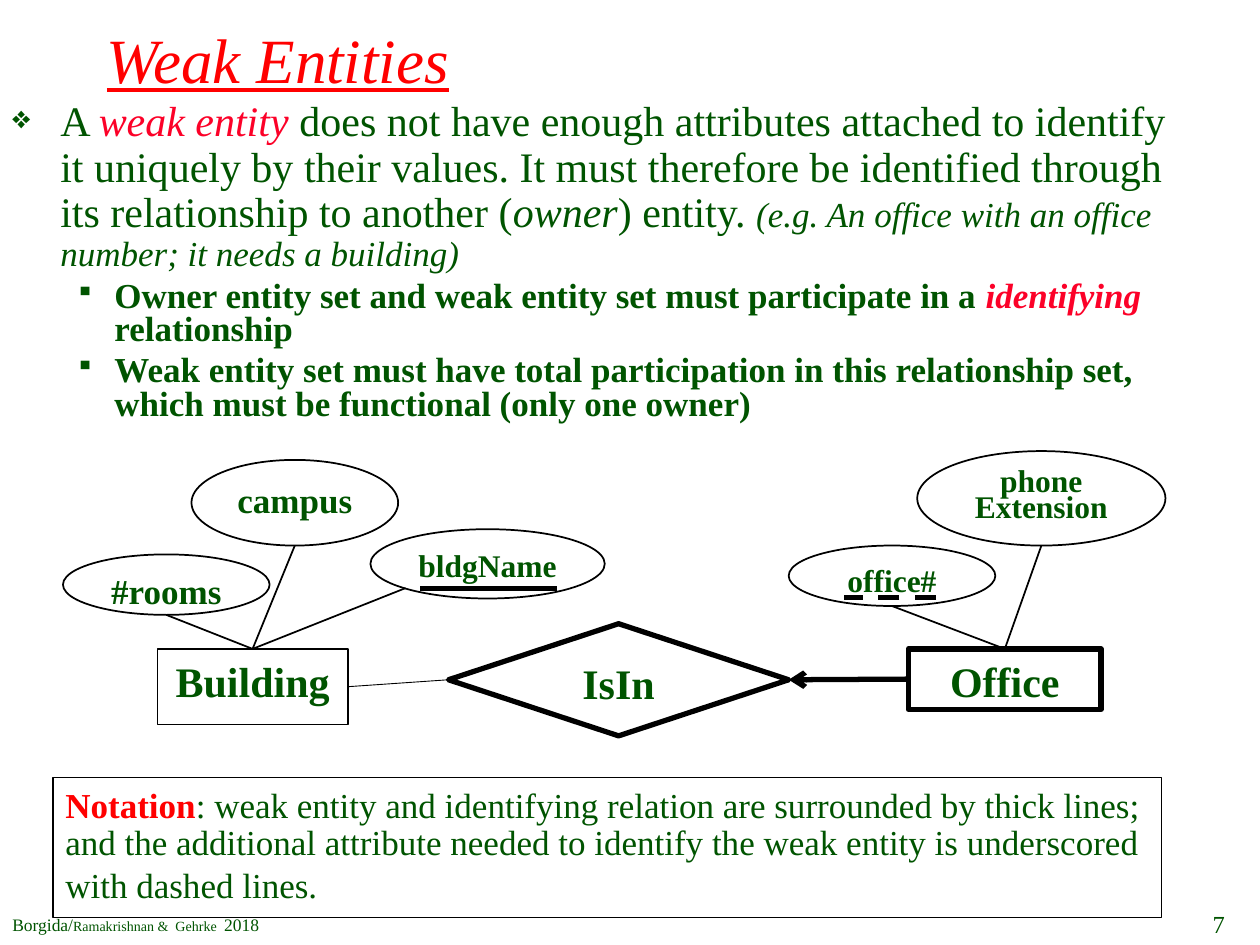
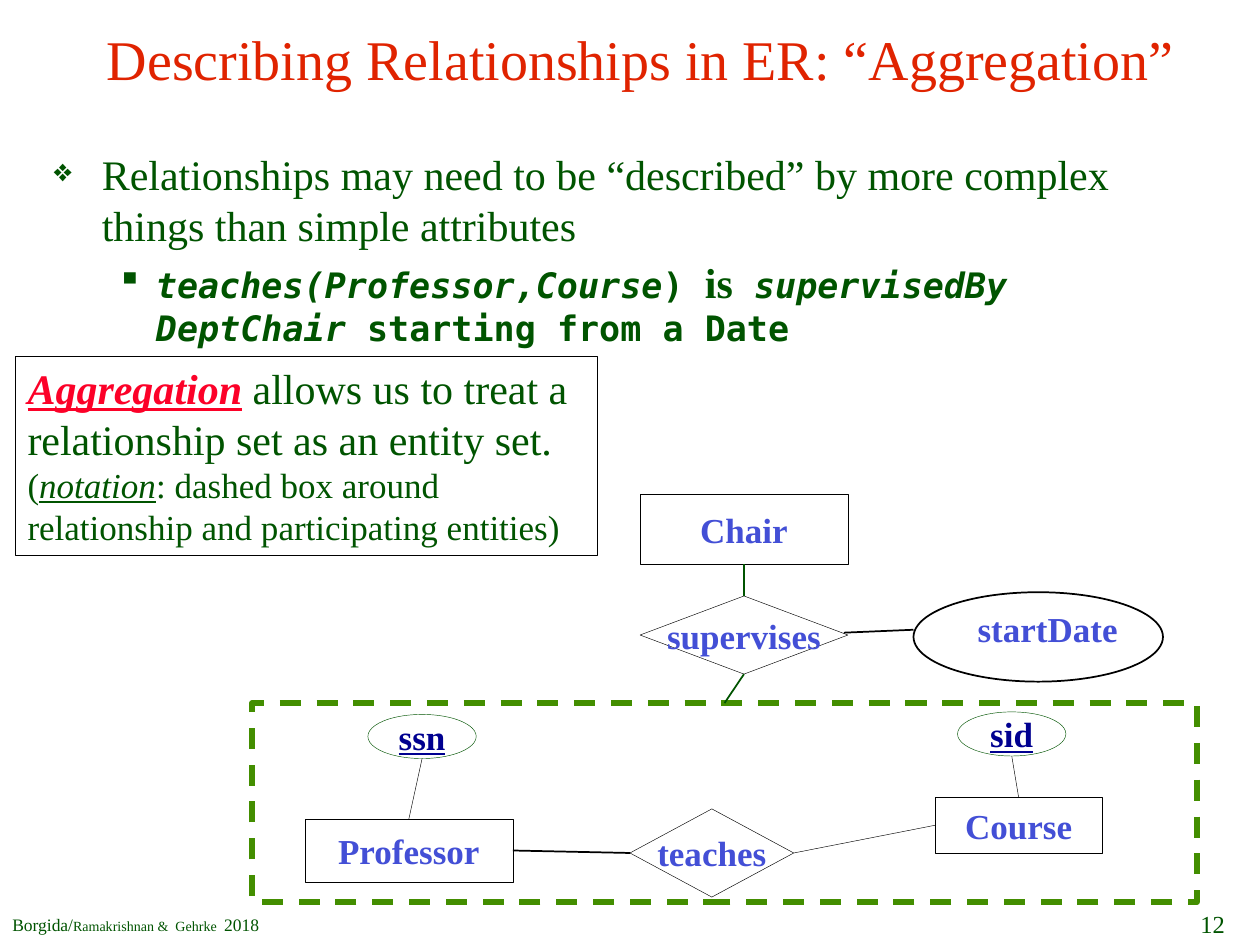
from lxml.etree import SubElement
from pptx import Presentation
from pptx.dml.color import RGBColor
from pptx.enum.dml import MSO_LINE
from pptx.enum.shapes import MSO_CONNECTOR, MSO_SHAPE
from pptx.enum.text import MSO_ANCHOR, MSO_AUTO_SIZE, PP_ALIGN
from pptx.oxml.ns import qn
from pptx.util import Inches, Pt

# Shared look
COLORS = {
    "text": "005400", "black": "000000", "red": "FF0000", "orange": "E02300",
    "accent": "FC0128", "label": "434FD6", "key": "000090", "dashed": "438E00",
}
SERIF, MONO = "Times New Roman", "DejaVu Sans Mono"
KINDS = {"rect": MSO_SHAPE.RECTANGLE, "diamond": MSO_SHAPE.DIAMOND, "oval": MSO_SHAPE.OVAL}
ALIGN = {"left": PP_ALIGN.LEFT, "center": PP_ALIGN.CENTER, "right": PP_ALIGN.RIGHT}
# Connection points as fractions of a node's width and height
SITES = {"top": (.5, 0), "left": (0, .5), "bottom": (.5, 1), "right": (1, .5),
         "lower left": (.15, .85)}
# Bullet levels: character, left margin, hanging indent
BULLETS = [("❖", .38, .38), ("▪", .81, .31)]
FOOTER = [("Borgida/", {"size": 10}), ("Ramakrishnan &  Gehrke  ", {"size": 8}),
          ("2018", {"size": 10})]

MONO_BOLD = {"size": 20, "font": MONO, "bold": True}
MONO_ITALIC = {**MONO_BOLD, "italic": True}
KEY = {"color": "key", "underline": True}

# Weak entities: a paragraph is (runs, format), a run is (text, format)
WEAK_BODY = [
    ([("A ", {}), ("weak entity ", {"color": "accent", "italic": True}),
      ("does not have enough attributes attached to identify it uniquely by their values. "
       "It must therefore be identified through its relationship to another (", {}),
      ("owner", {"italic": True}), (") entity. ", {}),
      ("(e.g. An office with an office number; it needs a building)",
       {"size": 20, "italic": True})],
     {"level": 0, "spacing": .9, "before": 4.8, "bullet_size": 75, "size": 24}),
    ([("Owner entity set and weak entity set must participate in a ", {}),
      ("identifying ", {"color": "accent", "italic": True}), ("relationship", {})],
     {"level": 1, "spacing": .8, "before": 4, "bullet_size": 75, "bold": True}),
    ([("Weak entity set must have total participation in this relationship set, "
       "which must be functional (only one owner)", {})],
     {"level": 1, "spacing": .8, "before": 4, "bullet_size": 75, "bold": True}),
]
NOTATION = [
    ([("Notation", {"color": "red", "bold": True}),
      (": weak entity and identifying relation are surrounded by thick lines;", {})], {}),
    ([("and the additional attribute needed to identify the weak entity is underscored ", {})],
     {"spacing": .9}),
    ([("with dashed lines.", {})], {}),
]
# Nodes: kind, box, label lines, text size, line width
WEAK_NODES = {
    "building": ("rect", (1.25, 5.15, 1.51, .6), ["Building"], 24, 1),
    "office": ("rect", (7.21, 5.15, 1.53, .48), ["Office"], 24, 3),
    "is in": ("diamond", (3.56, 4.95, 2.7, .89), ["IsIn"], 24, 3),
    "rooms": ("oval", (.5, 4.4, 1.64, .48), ["#rooms"], 20, 1),
    "campus": ("oval", (1.52, 3.65, 1.64, .68), ["campus"], 20, 1),
    "name": ("oval", (2.94, 4.2, 1.86, .55), ["bldgName"], 18, 1),
    "number": ("oval", (6.26, 4.33, 1.64, .48), ["office#"], 18, 1),
    "phone": ("oval", (7.28, 3.58, 1.97, .75), ["phone", "Extension"], 18, 1),
}
# Links: node, site, node, site, line format
WEAK_LINKS = [
    ("building", "right", "is in", "left", {"width": .5}),
    ("is in", "right", "office", "left", {"width": 3, "head": True}),
    ("rooms", "bottom", "building", "top", {}),
    ("campus", "bottom", "building", "top", {}),
    ("name", "lower left", "building", "top", {}),
    ("number", "bottom", "office", "top", {}),
    ("phone", "bottom", "office", "top", {}),
]
KEY_LINES = [((4.42, 4.67), (3.33, 4.67), False), ((7.43, 4.74), (6.7, 4.74), True)]

# Aggregation
AGG_BODY = [
    ([("Relationships may need to be “described” by more complex things than "
       "simple attributes", {})],
     {"level": 0, "before": 4.8, "bullet_size": 75, "size": 24}),
    ([("teaches(Professor,Course", MONO_ITALIC), (") ", MONO_BOLD),
      ("is", {"size": 24, "bold": True}), (" ", MONO_BOLD),
      ("supervisedBy DeptChair ", MONO_ITALIC), ("starting from a Date", MONO_BOLD)],
     {"level": 1, "before": 4}),
]
DEFINITION = [
    ([("Aggregation", {"color": "accent", "bold": True, "italic": True, "underline": True}),
      (" allows us to treat a relationship set as an entity set. ", {}),
      ("(", {"size": 20}), ("notation", {"size": 20, "italic": True, "underline": True}),
      (": dashed box around relationship and participating entities)", {"size": 20})],
     {"size": 24}),
]
# Nodes: kind, box, label, line colour, text format
AGG_NODES = {
    "course": ("rect", (7.42, 6.33, 1.33, .44), "Course", "black", {}),
    "teaches": ("diamond", (5, 6.42, 1.3, .7), "teaches", "black", {}),
    "sid": ("oval", (7.6, 5.65, .86, .35), "sid", "text", KEY),
    "supervises": ("diamond", (5.08, 4.73, 1.65, .62), "supervises", "black", {}),
    "chair": ("rect", (5.08, 3.92, 1.65, .56), "Chair", "black", {}),
    "professor": ("rect", (2.42, 6.5, 1.65, .5), "Professor", "black", {}),
    "ssn": ("oval", (2.92, 5.67, .86, .35), "ssn", "text", KEY),
}
AGG_LINKS = [
    ("teaches", "right", "course", "left", {"width": .25}),
    ("sid", "bottom", "course", "top", {"width": .25}),
    ("ssn", "bottom", "professor", "top", {"width": .25}),
    ("chair", "bottom", "supervises", "top", {"color": "text"}),
    ("supervises", "bottom", "aggregate", "top", {"color": "text"}),
    ("supervises", (.98, .47), "start", (0, .42), {}),
    ("professor", "right", "teaches", "left", {}),
]


def rgb(name):
    """Return a named colour."""
    return RGBColor.from_string(COLORS[name])


def add_run(p, text, size=20, font=SERIF, color="text", bold=False, italic=False,
            underline=False):
    """Append one formatted run to a paragraph."""
    r = p.add_run()
    r.text = text
    f = r.font
    f.size, f.name, f.bold, f.italic, f.underline = Pt(size), font, bold, italic, underline
    f.color.rgb = rgb(color)


def add_bullet(p, level, size=None):
    """Give a paragraph the bullet and hanging indent of its level."""
    char, left, hang = BULLETS[level]
    pPr = p._p.get_or_add_pPr()
    pPr.set("marL", str(Inches(left)))
    pPr.set("indent", str(-Inches(hang)))
    SubElement(SubElement(pPr, qn("a:buClr")), qn("a:srgbClr"), val=COLORS["text"])
    if size:
        SubElement(pPr, qn("a:buSzPct"), val=str(size * 1000))
    SubElement(pPr, qn("a:buChar"), char=char)


def write(sp, paragraphs, align="left", middle=False, wrap=True, grow=False, top=.05):
    """Fill a shape with paragraphs of formatted runs."""
    tf = sp.text_frame
    tf.word_wrap = wrap
    tf.auto_size = MSO_AUTO_SIZE.SHAPE_TO_FIT_TEXT if grow else MSO_AUTO_SIZE.NONE
    tf.vertical_anchor = MSO_ANCHOR.MIDDLE if middle else MSO_ANCHOR.TOP
    tf.margin_top = Inches(top)
    for i, (runs, fmt) in enumerate(paragraphs):
        p = tf.paragraphs[0] if i == 0 else tf.add_paragraph()
        fmt = dict(fmt)
        p.alignment = ALIGN[align]
        p.line_spacing = fmt.pop("spacing", None)
        p.space_before = Pt(fmt.pop("before", 0))
        level, bullet_size = fmt.pop("level", None), fmt.pop("bullet_size", None)
        if level is not None:
            add_bullet(p, level, bullet_size)
        for text, run_fmt in runs:
            add_run(p, text, **{**fmt, **run_fmt})


def add_text(slide, box, paragraphs, **fmt):
    """Add a text box."""
    write(slide.shapes.add_textbox(*map(Inches, box)), paragraphs, **fmt)


def add_node(slide, kind, box, width=1, color="black", dash=False):
    """Add an unfilled outlined shape."""
    sp = slide.shapes.add_shape(KINDS[kind], *map(Inches, box))
    sp.shadow.inherit = False
    sp.fill.background()
    sp.line.color.rgb = rgb(color)
    sp.line.width = Pt(width)
    if dash:
        sp.line.dash_style = MSO_LINE.DASH
    return sp


def add_line(slide, start, end, width=1, color="black", dash=False, head=False):
    """Add a straight line, with an arrowhead at its start if asked."""
    cx = slide.shapes.add_connector(MSO_CONNECTOR.STRAIGHT, *map(Inches, (*start, *end)))
    cx.line.color.rgb = rgb(color)
    cx.line.width = Pt(width)
    if dash:
        cx.line.dash_style = MSO_LINE.DASH
    if head:
        SubElement(cx.line._get_or_add_ln(), qn("a:headEnd"), type="arrow")
    SubElement(cx._element.spPr, qn("a:effectLst"))


def site(box, name):
    """Return the point of a box at a named site or at given fractions."""
    fx, fy = SITES.get(name, name)
    x, y, w, h = box
    return x + fx * w, y + fy * h


def link(slide, boxes, links):
    """Draw the lines between nodes."""
    for a, a_site, b, b_site, fmt in links:
        add_line(slide, site(boxes[a], a_site), site(boxes[b], b_site), **fmt)


def new_slide(prs, number, title, title_width, **title_fmt):
    """Add a blank slide with the footer, page number and title."""
    slide = prs.slides.add_slide(prs.slide_layouts[6])
    add_text(slide, (0, 7.2, 2.17, .27), [(FOOTER, {})], middle=True, wrap=False, grow=True)
    add_text(slide, (9.39, 7.17, .43, .33), [([(number, {"size": 14})], {})],
             align="right", middle=True, wrap=False, grow=True)
    add_text(slide, (.75, 0, title_width, .92), [([(title, title_fmt)], {})], middle=True)
    return slide


def weak_entities(prs):
    """Build the slide on weak entities."""
    slide = new_slide(prs, "7", "Weak Entities", 8.5, size=36, color="red",
                      italic=True, underline=True)
    add_text(slide, (0, .75, 9.58, 2.5), WEAK_BODY)
    write(add_node(slide, "rect", (.42, 6.17, 8.8, 1.11), .75), NOTATION, wrap=False, grow=True)
    for start, end, dash in KEY_LINES:
        add_line(slide, start, end, width=3, dash=dash)
    for kind, box, lines, size, width in WEAK_NODES.values():
        fmt = {"size": size, "bold": True, "spacing": .7 if len(lines) > 1 else None}
        write(add_node(slide, kind, box, width), [([(t, {})], fmt) for t in lines],
              align="center")
    link(slide, {name: node[1] for name, node in WEAK_NODES.items()}, WEAK_LINKS)


def aggregation(prs):
    """Build the slide on aggregation."""
    slide = new_slide(prs, "12", "Describing Relationships in ER: “Aggregation”", 8.92,
                      size=32, color="orange")
    add_text(slide, (.33, .75, 9, 3.62), AGG_BODY, top=.43)
    boxes = {name: node[1] for name, node in AGG_NODES.items()}
    boxes.update(aggregate=(2, 5.58, 7.5, 1.58), start=(7.25, 4.7, 1.98, .71))
    add_node(slide, "rect", boxes["aggregate"], 3, "dashed", dash=True)
    label = {"color": "label", "bold": True}
    for kind, box, text, color, fmt in AGG_NODES.values():
        write(add_node(slide, kind, box, .25, color), [([(text, fmt)], label)],
              align="center", middle=True, wrap=False)
    write(add_node(slide, "rect", (.12, 2.83, 4.62, 1.58), .5), DEFINITION, grow=True)
    add_node(slide, "oval", boxes["start"])
    add_text(slide, (7.66, 4.77, 1.79, .43), [([("startDate", label)], {})], grow=True)
    link(slide, boxes, AGG_LINKS)


prs = Presentation()
prs.slide_width, prs.slide_height = Inches(10), Inches(7.5)
weak_entities(prs)
aggregation(prs)
prs.save("out.pptx")
